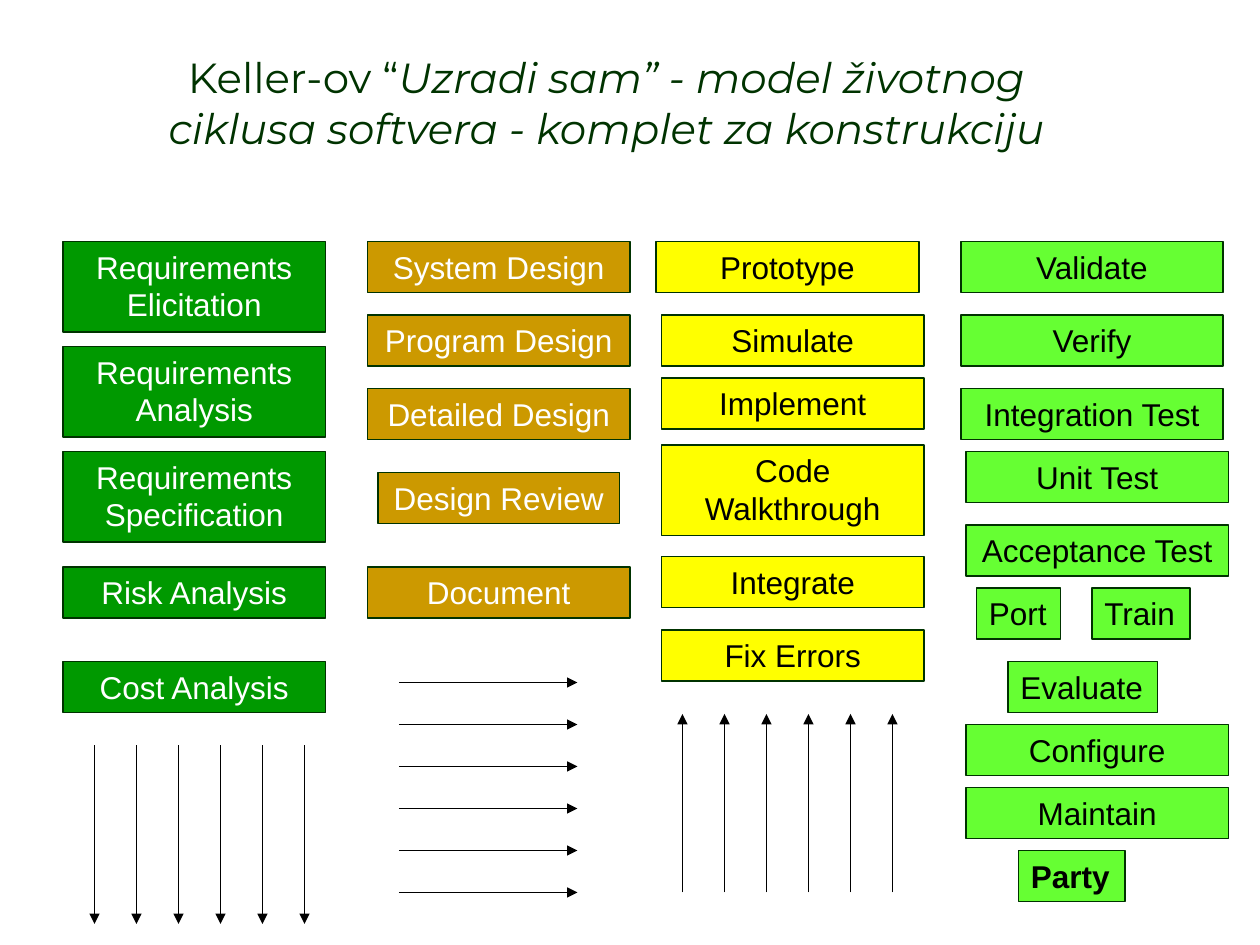
from lxml import etree
from pptx import Presentation
from pptx.dml.color import RGBColor
from pptx.enum.shapes import MSO_CONNECTOR, MSO_SHAPE
from pptx.enum.text import MSO_ANCHOR, MSO_AUTO_SIZE, PP_ALIGN
from pptx.oxml.ns import qn
from pptx.util import Emu, Pt

PX = 9525  # EMU per px, 96 px to the inch

DARK_GREEN = RGBColor(0x00, 0x33, 0x00)
GREEN = RGBColor(0x00, 0x99, 0x00)
OCHRE = RGBColor(0xCC, 0x99, 0x00)
YELLOW = RGBColor(0xFF, 0xFF, 0x00)
LIME = RGBColor(0x66, 0xFF, 0x33)
WHITE = RGBColor(0xFF, 0xFF, 0xFF)
BLACK = RGBColor(0x00, 0x00, 0x00)

BOX_WIDTH, ONE_LINE, TWO_LINES = 200, 39, 69
ARROW_COUNT, ARROW_GAP, ARROW_LENGTH = 6, 32, 136

# fill, text colour, [(label, left, top, height)]
COLUMNS = [
    (GREEN, WHITE, [
        ("Requirements Elicitation", 48, 184, TWO_LINES),
        ("Requirements Analysis", 48, 264, TWO_LINES),
        ("Requirements Specification", 48, 344, TWO_LINES),
        ("Risk Analysis", 48, 432, ONE_LINE),
        ("Cost Analysis", 48, 504, ONE_LINE),
    ]),
    (OCHRE, WHITE, [
        ("System Design", 280, 184, ONE_LINE),
        ("Program Design", 280, 240, ONE_LINE),
        ("Detailed Design", 280, 296, ONE_LINE),
        ("Document", 280, 432, ONE_LINE),
    ]),
    (YELLOW, BLACK, [
        ("Prototype", 500, 184, ONE_LINE),
        ("Simulate", 504, 240, ONE_LINE),
        ("Implement", 504, 288, ONE_LINE),
        ("Code Walkthrough", 504, 339, TWO_LINES),
        ("Integrate", 504, 424, ONE_LINE),
        ("Fix Errors", 504, 480, ONE_LINE),
    ]),
    (LIME, BLACK, [
        ("Validate", 732, 184, ONE_LINE),
        ("Verify", 732, 240, ONE_LINE),
        ("Integration Test", 732, 296, ONE_LINE),
        ("Unit Test", 736, 344, ONE_LINE),
        ("Acceptance Test", 736, 400, ONE_LINE),
        ("Configure", 736, 552, ONE_LINE),
        ("Maintain", 736, 600, ONE_LINE),
    ]),
]

# label, left, top, width, bold
FITTED_BOXES = [
    ("Port", 744, 448, 64, False),
    ("Train", 832, 448, 75, False),
    ("Evaluate", 768, 504, 114, False),
    ("Party", 776, 648, 81, True),
]

# first start point, direction of the arrows, direction of the row
ARROW_ROWS = [
    ((72, 568), (0, 1), (1, 0)),
    ((304, 520), (1, 0), (0, 1)),
    ((520, 680), (0, -1), (1, 0)),
]


def px(*lengths):
    return [Emu(length * PX) for length in lengths]


def set_values(target, values):
    for name, value in values.items():
        setattr(target, name, value)


class Painter:
    """Holds the style and the current slide."""

    box_font = {"name": "Arial", "size": Pt(18)}
    title_font = {"name": "Montserrat", "size": Pt(24)}

    def __init__(self, page):
        self.page = page

    def title(self, area, lines):
        """Each line is a list of (text, italic) spans."""
        frame = self.page.shapes.add_textbox(*px(*area)).text_frame
        set_values(frame, {"word_wrap": True, "vertical_anchor": MSO_ANCHOR.BOTTOM})
        para = frame.paragraphs[0]
        para.alignment = PP_ALIGN.CENTER
        for index, line in enumerate(lines):
            if index:
                para.add_line_break()
            for text, italic in line:
                span = para.add_run()
                span.text = text
                set_values(span.font, {**self.title_font, "italic": italic})
                span.font.color.rgb = DARK_GREEN

    def box(self, label, area, fill, color, fitted=False, bold=False):
        """A fitted box hugs its unwrapped, left-aligned label."""
        box = self.page.shapes.add_shape(MSO_SHAPE.RECTANGLE, *px(*area))
        box.shadow.inherit = False
        box.fill.solid()
        box.fill.fore_color.rgb = fill
        box.line.color.rgb = DARK_GREEN
        box.line.width = Pt(1)
        set_values(box.text_frame, {
            "word_wrap": not fitted,
            "auto_size": MSO_AUTO_SIZE.SHAPE_TO_FIT_TEXT,
            "vertical_anchor": MSO_ANCHOR.TOP,
        })
        para = box.text_frame.paragraphs[0]
        para.alignment = PP_ALIGN.LEFT if fitted else PP_ALIGN.CENTER
        span = para.add_run()
        span.text = label
        set_values(span.font, {**self.box_font, "bold": bold})
        span.font.color.rgb = color

    def arrow(self, group, start, end):
        arrow = group.shapes.add_connector(MSO_CONNECTOR.STRAIGHT, *px(*start, *end))
        arrow.line.color.rgb = BLACK
        arrow.line.width = Pt(1)
        etree.SubElement(arrow.line._get_or_add_ln(), qn("a:tailEnd"), type="triangle")
        etree.SubElement(arrow._element.spPr, qn("a:effectLst"))

    def arrow_row(self, first, direction, row):
        group = self.page.shapes.add_group_shape()
        for index in range(ARROW_COUNT):
            start = [at + index * ARROW_GAP * step for at, step in zip(first, row)]
            end = [at + ARROW_LENGTH * step for at, step in zip(start, direction)]
            self.arrow(group, start, end)


def main():
    deck = Presentation()
    deck.slide_width, deck.slide_height = px(960, 720)
    painter = Painter(deck.slides.add_slide(deck.slide_layouts[6]))

    painter.title((26, 35, 872, 86), [
        [("Keller-ov “", False), ("Uzradi sam” - model životnog", True)],
        [("ciklusa softvera - komplet za konstrukciju", True)],
    ])
    for fill, color, steps in COLUMNS:
        for label, left, top, height in steps:
            painter.box(label, (left, top, BOX_WIDTH, height), fill, color)
    painter.box("Design Review", (288, 360, 184, ONE_LINE), OCHRE, WHITE)
    for label, left, top, width, bold in FITTED_BOXES:
        painter.box(label, (left, top, width, ONE_LINE), LIME, BLACK, True, bold)
    for first, direction, row in ARROW_ROWS:
        painter.arrow_row(first, direction, row)

    deck.save("out.pptx")


if __name__ == "__main__":
    main()
